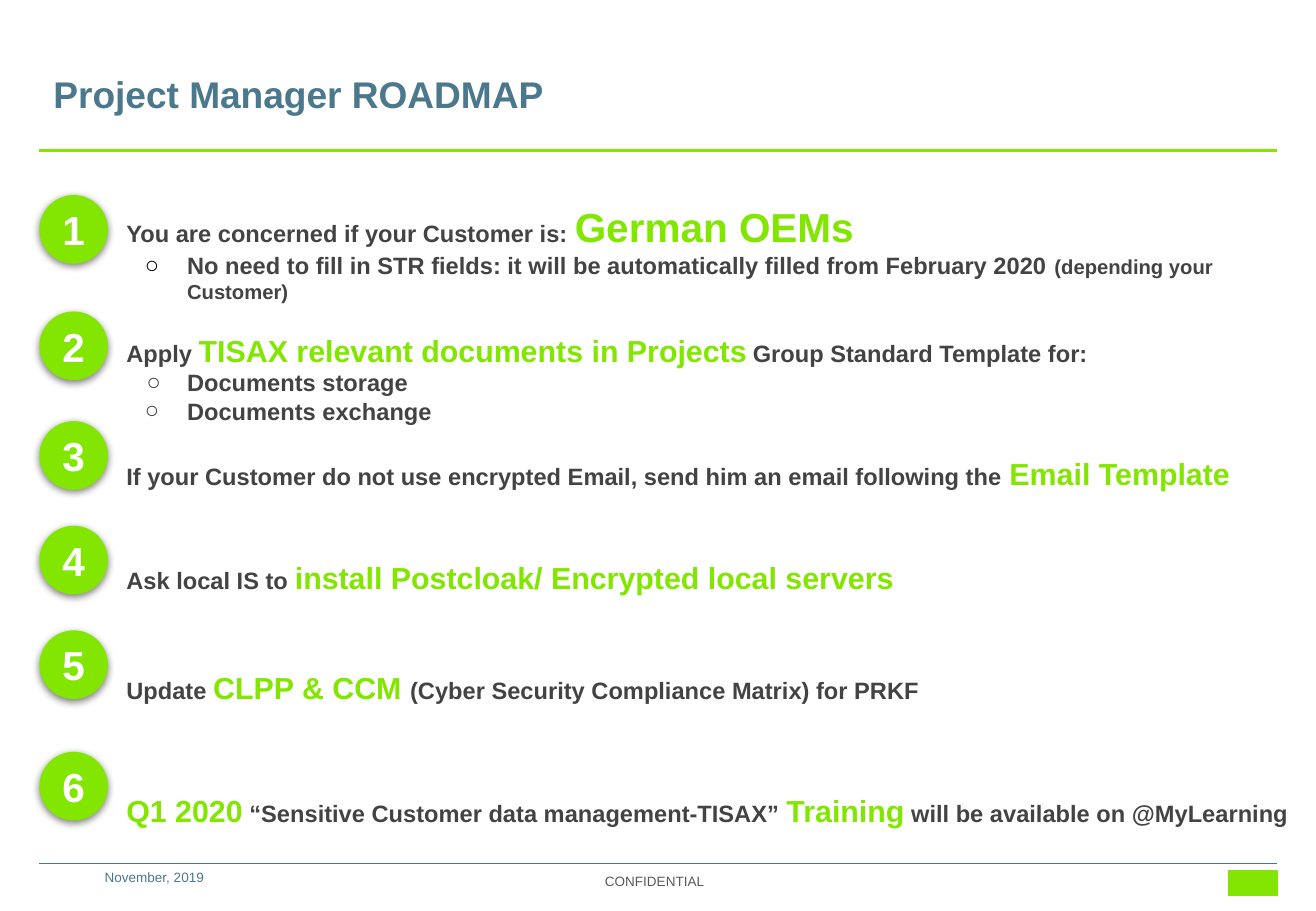
from dataclasses import dataclass

from lxml.etree import SubElement
from pptx import Presentation
from pptx.dml.color import RGBColor as RGB
from pptx.enum.shapes import MSO_CONNECTOR as Link, MSO_SHAPE as Shape
from pptx.enum.text import MSO_ANCHOR as Anchor, MSO_AUTO_SIZE as Fit, PP_ALIGN as Align
from pptx.oxml.ns import qn
from pptx.util import Pt


@dataclass(frozen=True)
class Theme:
    face: str = "Arial"
    green: str = "82E600"
    blue: str = "4B788C"
    dark: str = "434343"
    grey: str = "595959"
    black: str = "000000"
    white: str = "FFFFFF"
    head: float = 22
    huge: float = 24
    key: float = 18
    base: float = 14
    note: float = 12
    foot: float = 8


T = Theme()


@dataclass(frozen=True)
class Bit:
    text: str
    size: float = T.base
    color: str = T.dark


def key(text: str, size: float = T.key) -> Bit:
    return Bit(text, size, T.green)


@dataclass(frozen=True)
class Sub:
    bits: tuple[Bit, ...]
    hang: float = 25
    mark: str = T.dark


@dataclass(frozen=True)
class Step:
    top: float  # top of the numbered disc
    gap: float  # space above the line of text
    bits: tuple[Bit, ...]
    subs: tuple[Sub, ...] = ()


@dataclass(frozen=True)
class Rule:
    y: float
    color: str
    width: float


@dataclass(frozen=True)
class Note:
    text: str
    box: tuple[float, float, float, float]
    inset: float
    color: str
    align: Align


STEPS = (
    Step(116, 0,
         (Bit("You are concerned if your Customer is: "), key("German OEMs", T.huge)),
         (Sub((Bit("No need to fill in STR fields: it will be automatically "
                   "filled from February 2020 "),
               Bit("(depending your Customer)", T.note)), mark=T.black),)),
    Step(185, 16.7,
         (Bit("Apply "), key("TISAX relevant documents in Projects"),
          Bit(" ", T.note), Bit("Group Standard Template for:")),
         (Sub((Bit("Documents storage"),), hang=24),
          Sub((Bit("Documents exchange"),)))),
    Step(250, 18,
         (Bit("If your Customer do not use encrypted Email, "
              "send him an email following the "), key("Email Template"))),
    Step(312, 39.7,
         (Bit("Ask local IS to "), key("install Postcloak/ Encrypted local servers"))),
    Step(374, 44,
         (Bit("Update "), key("CLPP & CCM "),
          Bit("(Cyber Security Compliance Matrix) for PRKF"))),
    Step(446, 51,
         (key("Q1 2020"), Bit(" “Sensitive Customer data management-TISAX” "),
          key("Training"), Bit(" will be available on @MyLearning"))),
)
RULES = (Rule(89.3, T.green, 1.5), Rule(511.9, T.blue, 1))
NOTES = (
    Note("November, 2019", (62, 513.4, 133, 14), 2, T.blue, Align.LEFT),
    Note("CONFIDENTIAL", (276.5, 516.2, 223, 8), 1.4, T.grey, Align.CENTER),
)


def rgb(color: str) -> RGB:
    return RGB.from_string(color)


def style(para, size: float, color: str, bold: bool = False) -> None:
    font = para.font
    font.name, font.size, font.bold = T.face, Pt(size), bold
    font.color.rgb = rgb(color)


def place(shape, left: float, top: float, width: float, height: float) -> None:
    shape.left, shape.top = Pt(left), Pt(top)
    shape.width, shape.height = Pt(width), Pt(height)


def inset(frame, left: float, top: float, right: float, base: float) -> None:
    frame.margin_left, frame.margin_top = Pt(left), Pt(top)
    frame.margin_right, frame.margin_bottom = Pt(right), Pt(base)


def paint(shape, color: str) -> None:
    shape.shadow.inherit = False
    shape.fill.solid()
    shape.fill.fore_color.rgb = rgb(color)
    shape.line.color.rgb = rgb(color)
    shape.line.width = Pt(0.75)


def add_line(para, bits: tuple[Bit, ...], gap: float, sub: Sub | None = None) -> None:
    """Write one paragraph, with a ring bullet when it is a sub-point."""
    para.alignment = Align.LEFT
    para.space_before, para.space_after = Pt(gap), Pt(0)
    para.level = 1 if sub else 0
    props = para._p.get_or_add_pPr()
    props.set("marL", str(Pt(72 if sub else 36)))
    props.set("indent", str(Pt(-sub.hang if sub else 0)))
    if sub:
        tint = SubElement(props, qn("a:buClr"))
        SubElement(tint, qn("a:srgbClr"), val=sub.mark)
        SubElement(props, qn("a:buFont"), typeface=T.face)
        SubElement(props, qn("a:buChar"), char="○")
    else:
        SubElement(props, qn("a:buNone"))
    para.font.name, para.font.bold = T.face, True
    for bit in bits:
        run = para.add_run()
        run.text = bit.text
        run.font.size = Pt(bit.size)
        run.font.color.rgb = rgb(bit.color)


def add_title(shape, text: str) -> None:
    place(shape, 31.7, 34.6, 682.6, 40.3)
    frame = shape.text_frame
    frame.auto_size, frame.vertical_anchor = Fit.NONE, Anchor.BOTTOM
    inset(frame, 0, 0, 0, 5.8)
    para = frame.paragraphs[0]
    para.text, para.alignment, para.line_spacing = text, Align.LEFT, 0.9
    style(para, T.head, T.blue, True)


def add_body(shape) -> None:
    place(shape, 31.7, 112.7, 747.4, 367)
    frame = shape.text_frame
    frame.auto_size, frame.vertical_anchor = Fit.NONE, Anchor.TOP
    frame.word_wrap = True
    inset(frame, 7.2, 7.2, 7.2, 7.2)
    for num, step in enumerate(STEPS):
        para = frame.add_paragraph() if num else frame.paragraphs[0]
        add_line(para, step.bits, step.gap)
        for sub in step.subs:
            add_line(frame.add_paragraph(), sub.bits, 0, sub)


def add_disc(shapes, num: int, top: float) -> None:
    disc = shapes.add_shape(Shape.OVAL, Pt(23.8), Pt(top), Pt(39.8), Pt(40))
    paint(disc, T.green)
    glow = SubElement(disc._element.spPr.find(qn("a:effectLst")), qn("a:outerShdw"),
                      blurRad=str(Pt(4.5)), dist=str(Pt(1.5)), dir="5400000",
                      algn="bl", rotWithShape="0")
    tint = SubElement(glow, qn("a:srgbClr"), val=T.black)
    SubElement(tint, qn("a:alpha"), val="50000")
    frame = disc.text_frame
    frame.vertical_anchor, frame.word_wrap = Anchor.MIDDLE, False
    inset(frame, 7.2, 7.2, 7.2, 7.2)
    para = frame.paragraphs[0]
    para.text, para.alignment = str(num), Align.CENTER
    style(para, T.huge, T.white, True)


def add_rule(shapes, rule: Rule) -> None:
    line = shapes.add_connector(Link.STRAIGHT, Pt(23.3), Pt(rule.y), Pt(756.7), Pt(rule.y))
    line.line.color.rgb, line.line.width = rgb(rule.color), Pt(rule.width)
    SubElement(line._element.spPr, qn("a:effectLst"))


def add_note(shapes, note: Note) -> None:
    frame = shapes.add_textbox(*map(Pt, note.box)).text_frame
    frame.word_wrap = True
    inset(frame, 0, note.inset, 0, 0)
    para = frame.paragraphs[0]
    para.text, para.alignment = note.text, note.align
    style(para, T.foot, note.color)


def main() -> None:
    deck = Presentation()
    deck.slide_width, deck.slide_height = Pt(780), Pt(540)
    slide = deck.slides.add_slide(deck.slide_layouts[1])
    shapes = slide.shapes
    for rule in RULES:
        add_rule(shapes, rule)
    for note in NOTES:
        add_note(shapes, note)
    badge = shapes.add_shape(Shape.RECTANGLE, Pt(728), Pt(516), Pt(29), Pt(15))
    paint(badge, T.green)
    add_title(shapes.title, "Project Manager ROADMAP")
    add_body(slide.placeholders[1])
    for num, step in enumerate(STEPS, 1):
        add_disc(shapes, num, step.top)
    deck.save("out.pptx")


if __name__ == "__main__":
    main()
